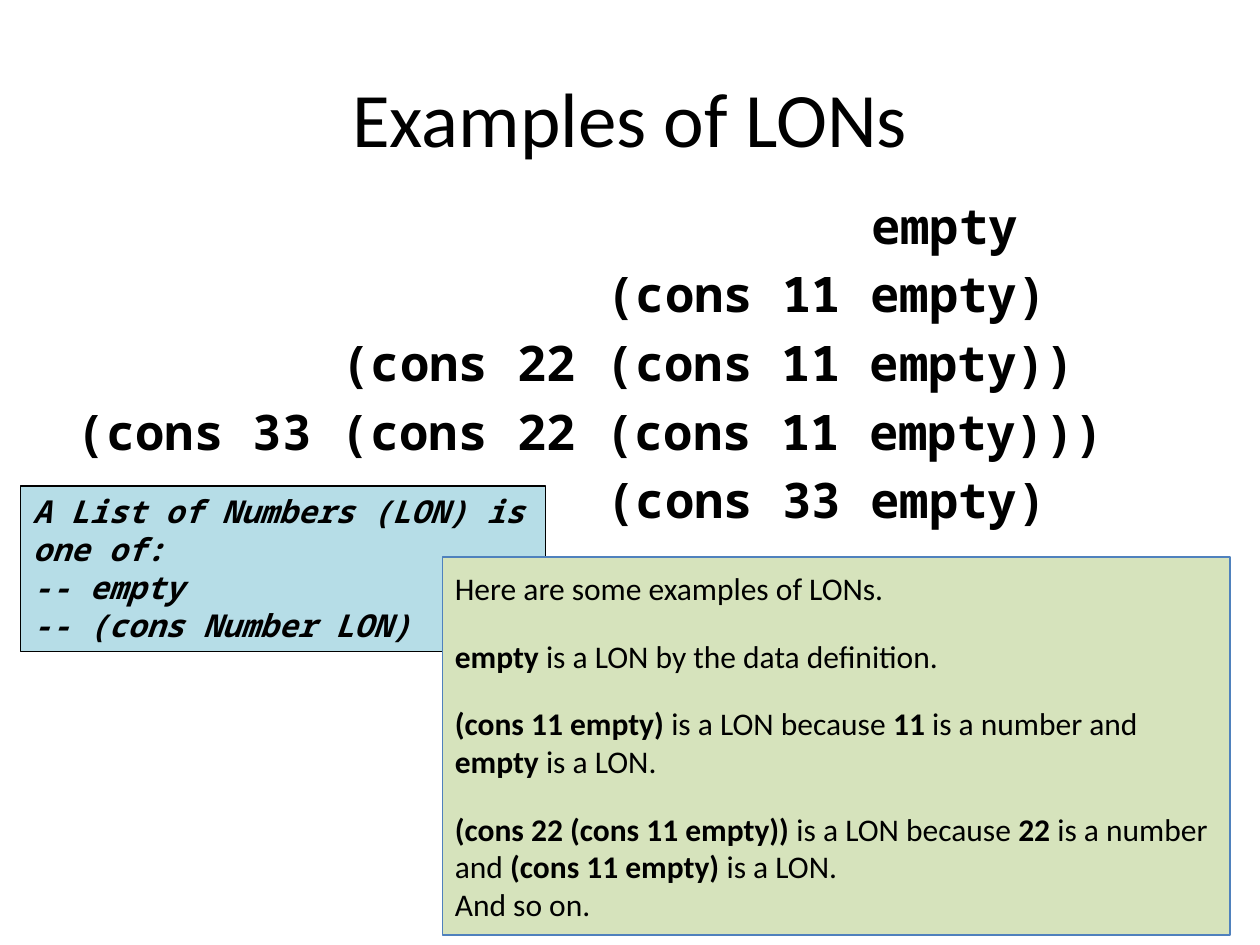
import pptx
import pptx.util
import pptx.dml.color
import pptx.enum.shapes
import pptx.enum.text

Cm, Pt = pptx.util.Cm, pptx.util.Pt
RGBColor = pptx.dml.color.RGBColor
Align = pptx.enum.text.PP_ALIGN
Anchor = pptx.enum.text.MSO_ANCHOR

BLACK = RGBColor(0x00, 0x00, 0x00)
AQUA = RGBColor(0xB6, 0xDD, 0xE7)
GREEN = RGBColor(0xD6, 0xE3, 0xBC)
BLUE = RGBColor(0x4F, 0x81, 0xBD)
SANS, MONO = "Calibri", "Noto Sans Mono"
CHAR = 0.593  # width of one 28 pt code character, in cm

# Each code line with its starting column
CODE = [
    (27, "empty"),
    (18, "(cons 11 empty)"),
    (9, "(cons 22 (cons 11 empty))"),
    (0, "(cons 33 (cons 22 (cons 11 empty)))"),
    (18, "(cons 33 empty)"),
]
RULE = ["A List of Numbers (LON) is one of:", "-- empty", "-- (cons Number LON)"]
# Space before in points, then text with bold parts between asterisks
NOTES = [
    (0, "Here are some examples of LONs."),
    (17, "*empty* is a LON by the data definition."),
    (17, "*(cons 11 empty)* is a LON because *11* is a number and *empty* is a LON."),
    (17, "*(cons 22 (cons 11 empty))* is a LON because *22* is a number "
         "and *(cons 11 empty)* is a LON."),
    (0, "And so on."),
]


def style(run, face, size, bold=False, slant=False):
    font = run.font
    font.name, font.size = face, Pt(size)
    font.bold, font.italic = bold, slant
    font.color.rgb = BLACK


def add_text(slide, box):
    frame = slide.shapes.add_textbox(*map(Cm, box)).text_frame
    frame.word_wrap = True
    return frame


def add_panel(slide, box, fill, line, anchor):
    kind = pptx.enum.shapes.MSO_SHAPE.RECTANGLE
    panel = slide.shapes.add_shape(kind, *map(Cm, box))
    panel.shadow.inherit = False
    panel.fill.solid()
    panel.fill.fore_color.rgb = fill
    panel.line.color.rgb = line
    panel.line.width = Pt(0.75)
    frame = panel.text_frame
    frame.word_wrap = True
    frame.vertical_anchor = anchor
    return frame


def add_lines(frame, texts):
    frame.text = "\n".join(texts)
    for para in frame.paragraphs:
        para.alignment = Align.LEFT
    return frame.paragraphs


def add_title(slide, box):
    frame = add_text(slide, box)
    frame.vertical_anchor = Anchor.MIDDLE
    frame.text = "Examples of LONs"
    para = frame.paragraphs[0]
    para.alignment = Align.CENTER
    style(para.runs[0], SANS, 44)


def add_code(slide, box):
    paras = add_lines(add_text(slide, box), [text for _, text in CODE])
    for para, (col, _) in zip(paras, CODE):
        para.space_before = Pt(5.6)
        # Left indent lines up the nested calls
        para._p.get_or_add_pPr().set("marL", str(Cm(col * CHAR)))
        style(para.runs[0], MONO, 28, bold=True)


def add_rule(slide, box):
    frame = add_panel(slide, box, AQUA, BLACK, Anchor.TOP)
    for para in add_lines(frame, RULE):
        style(para.runs[0], MONO, 18, bold=True, slant=True)


def add_notes(slide, box):
    frame = add_panel(slide, box, GREEN, BLUE, Anchor.MIDDLE)
    paras = add_lines(frame, [""] * len(NOTES))
    for para, (gap, text) in zip(paras, NOTES):
        para.space_before = Pt(gap)
        for i, part in enumerate(text.split("*")):
            if part:
                run = para.add_run()
                run.text = part
                style(run, SANS, 18, bold=i % 2 == 1)


def main():
    deck = pptx.Presentation()
    deck.slide_width, deck.slide_height = Cm(25.4), Cm(19.05)
    slide = deck.slides.add_slide(deck.slide_layouts[6])
    add_title(slide, (1.27, 0.76, 22.86, 3.18))
    add_code(slide, (1.3, 3.81, 22.86, 12.57))
    add_rule(slide, (0.41, 9.8, 10.59, 3.33))
    add_notes(slide, (8.92, 11.23, 15.88, 7.62))
    deck.save("out.pptx")


if __name__ == "__main__":
    main()
